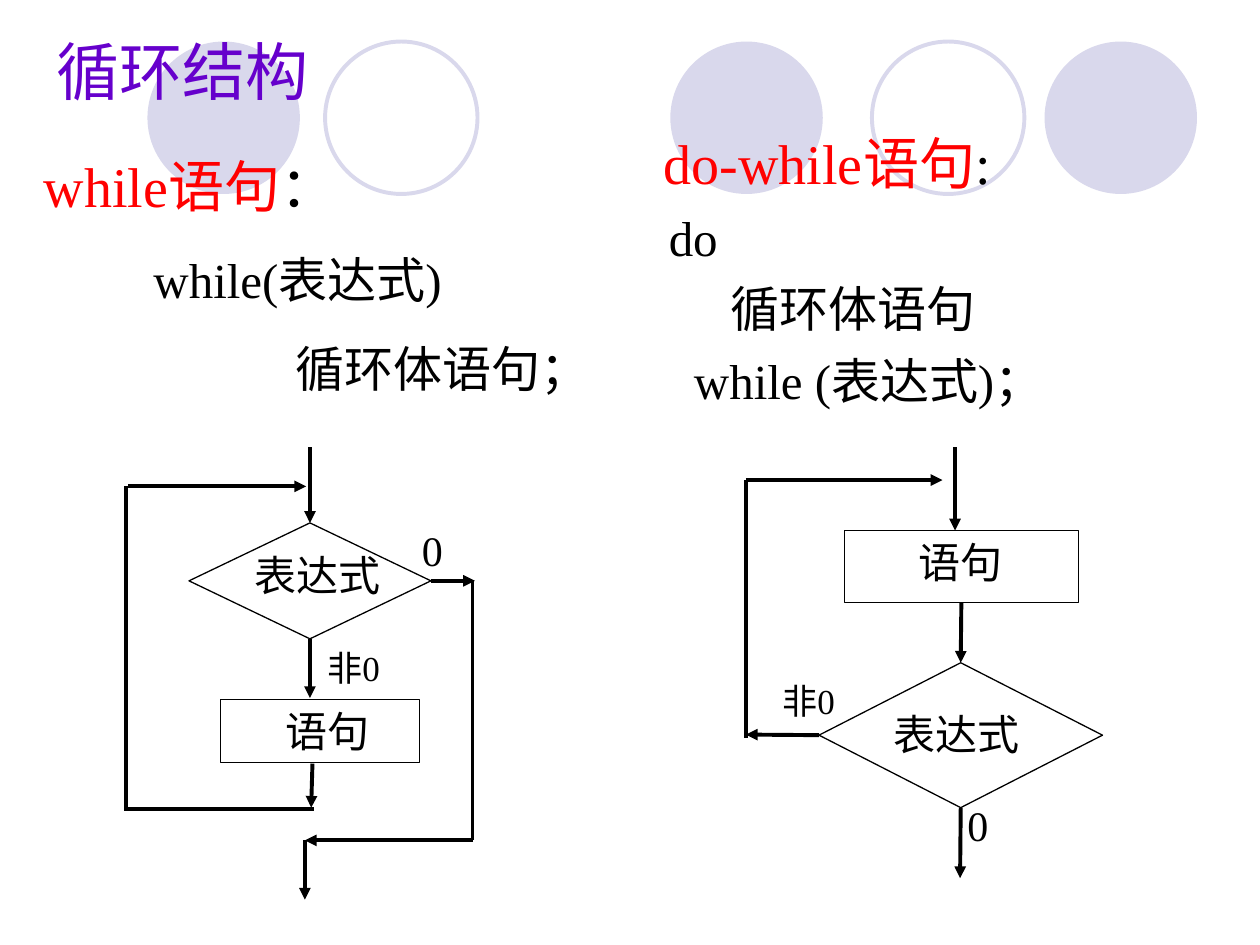
from pptx import Presentation
from pptx.util import Inches, Pt
from pptx.dml.color import RGBColor as RGB
from pptx.enum.shapes import MSO_SHAPE as Kind, MSO_CONNECTOR as Link
from pptx.enum.text import MSO_ANCHOR as Anchor
from pptx.oxml.ns import qn
from lxml.etree import SubElement as Sub

INK = {"black": "000000", "white": "FFFFFF", "red": "FF0000",
       "violet": "6600CC", "lilac": "D9D8EC"}
SERIF = "Times New Roman"

deck = Presentation()
deck.slide_width, deck.slide_height = Inches(10), Inches(7.5)
slide = deck.slides.add_slide(deck.slide_layouts[6])
shapes = slide.shapes


def write(rows, at, size=24, font=SERIF, color="black", gap=0, space=None,
          anchor=Anchor.TOP):
    frame = shapes.add_textbox(*map(Inches, at)).text_frame
    frame.word_wrap = True
    frame.vertical_anchor = anchor
    if isinstance(rows, str):
        rows = [(0, [(rows, size, color)])]
    for i, (left, runs) in enumerate(rows):
        para = frame.add_paragraph() if i else frame.paragraphs[0]
        if left:
            para._p.get_or_add_pPr().set("marL", str(Inches(left)))
        if i:
            para.space_before = Pt(gap)
        if space:
            para.line_spacing = space
        for text, pts, tint in runs:
            run = para.add_run()
            run.text = text
            run.font.size = Pt(pts)
            run.font.name = font
            run.font.color.rgb = RGB.from_string(INK[tint])


def draw(kind, at, fill, line, width):
    shape = shapes.add_shape(kind, *map(Inches, at))
    shape.shadow.inherit = False
    if fill:
        shape.fill.solid()
        shape.fill.fore_color.rgb = RGB.from_string(INK[fill])
    else:
        shape.fill.background()
    if line:
        shape.line.color.rgb = RGB.from_string(INK[line])
        shape.line.width = Pt(width)
    else:
        shape.line.fill.background()
    return shape


for x, full in [(5.32, True), (8.29, True), (1.17, True),
                (6.92, False), (2.58, False)]:
    draw(Kind.OVAL, (x, 0.33, 1.21, 1.21), "lilac" if full else None,
         None if full else "lilac", 2.25)

boxes = {}
for name, kind, at in [
    ("test", Kind.FLOWCHART_DECISION, (1.5, 4.15, 1.92, 0.92)),
    ("body", Kind.FLOWCHART_PROCESS, (1.75, 5.55, 1.58, 0.5)),
    ("do test", Kind.FLOWCHART_DECISION, (6.5, 5.26, 2.25, 1.15)),
    ("do body", Kind.FLOWCHART_PROCESS, (6.7, 4.21, 1.86, 0.57)),
]:
    boxes[name] = draw(kind, at, "white", "black", 0.75)

lines = [
    ((2.46, 3.55), (2.46, 4.15), True, None, ("test", 0)),
    ((2.46, 5.07), (2.46, 5.54), True, ("test", 2), None),
    ((3.42, 4.61), (3.77, 4.61), True, ("test", 3), None),
    ((3.75, 4.61), (3.75, 6.67), False, None, None),
    ((3.75, 6.67), (2.42, 6.67), True, None, None),
    ((2.42, 6.67), (2.42, 7.14), True, None, None),
    ((2.48, 6.06), (2.47, 6.41), True, None, None),
    ((2.49, 6.42), (1, 6.42), False, None, None),
    ((1, 3.86), (1, 6.44), False, None, None),
    ((1.02, 3.86), (2.43, 3.86), True, None, None),
    ((7.58, 3.55), (7.58, 4.21), True, None, None),
    ((7.63, 4.78), (7.63, 5.26), True, ("do body", 2), ("do test", 0)),
    ((7.62, 6.41), (7.62, 6.97), True, ("do test", 2), None),
    ((6.5, 5.83), (5.92, 5.83), True, ("do test", 1), None),
    ((5.92, 3.81), (5.92, 5.86), False, None, None),
    ((5.92, 3.81), (7.48, 3.81), True, None, None),
]
for start, end, arrow, tail, head in lines:
    link = shapes.add_connector(Link.STRAIGHT, *map(Inches, start + end))
    if tail:
        link.begin_connect(boxes[tail[0]], tail[1])
    if head:
        link.end_connect(boxes[head[0]], head[1])
    link.line.color.rgb = RGB.from_string(INK["black"])
    link.line.width = Pt(2.25)
    if arrow:
        Sub(link.line._get_or_add_ln(), qn("a:tailEnd"), type="triangle")
    Sub(link._element.spPr, qn("a:effectLst"))

write("循环结构", (0.35, 0.21, 7.92, 0.7), size=36, font="Arial",
      color="violet")
write([(0, [("while语句", 32, "red"), ("：", 32, "black")]),
       (0.87, [("while(表达式)", 28, "black")]),
       (2, [("循环体语句；", 28, "black")])],
      (0.25, 1.05, 4.67, 2.15), gap=10.5, space=1.2)
write([(0.34, [("do-while语句", 32, "red"), (":", 32, "black")]),
       (0.38, [("do", 28, "black")]),
       (0.87, [("循环体语句", 28, "black")]),
       (0.58, [("while (表达式)；", 28, "black")])],
      (4.83, 0.97, 4.33, 2.86), gap=7)

for at in [(1.92, 4.31, 1.3, 0.5), (6.99, 5.54, 1.3, 0.57)]:
    write("表达式", at, anchor=Anchor.MIDDLE)
for at in [(2.17, 5.55, 1.08, 0.5), (7.19, 4.21, 1.27, 0.5)]:
    write("语句", at)
for at in [(2.5, 5.08, 0.83, 0.44), (6.11, 5.34, 0.88, 0.44)]:
    write("非0", at, size=20)
for at in [(3.25, 4.11, 0.58, 0.5), (7.58, 6.3, 0.68, 0.5)]:
    write("0", at)

deck.save("out.pptx")
